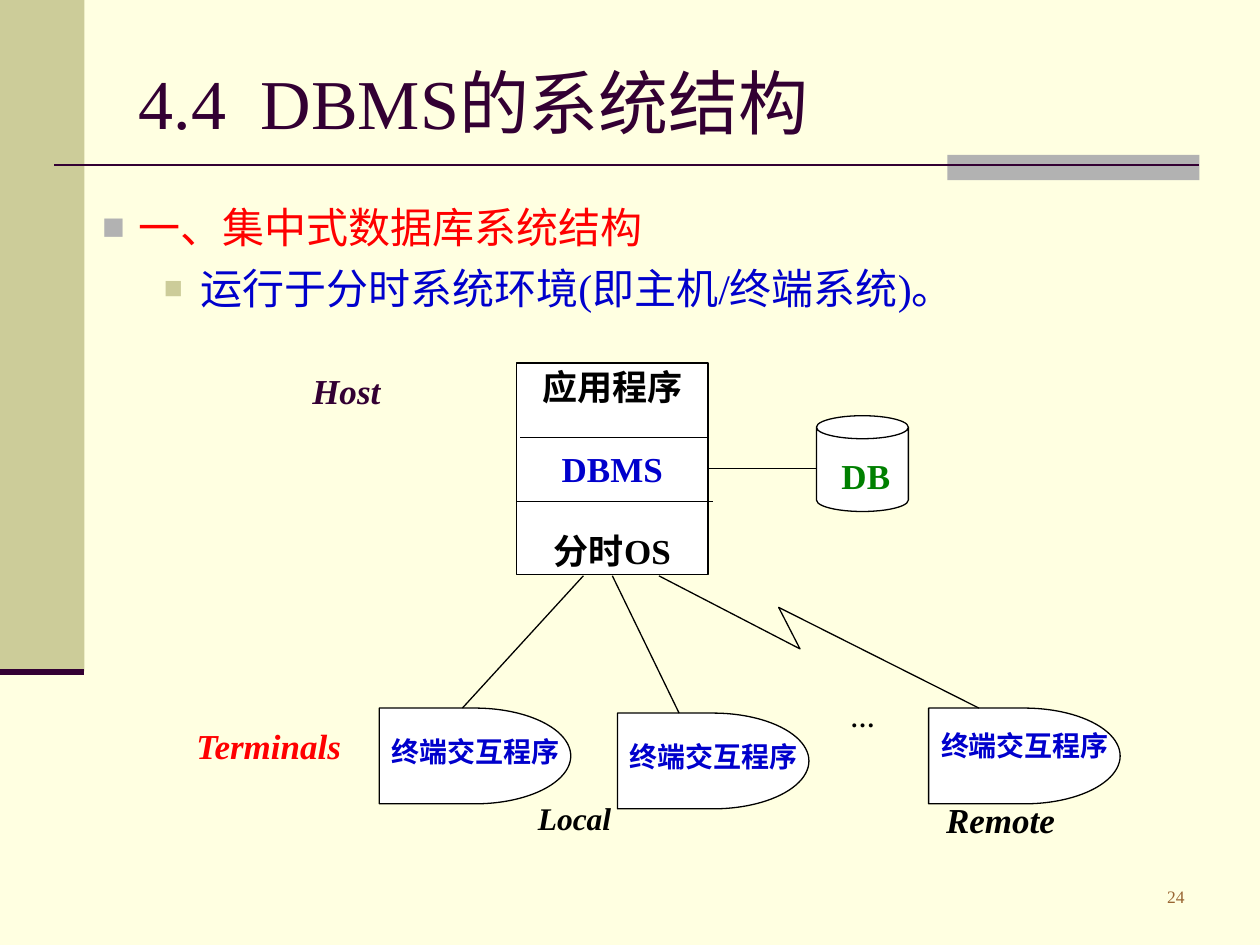
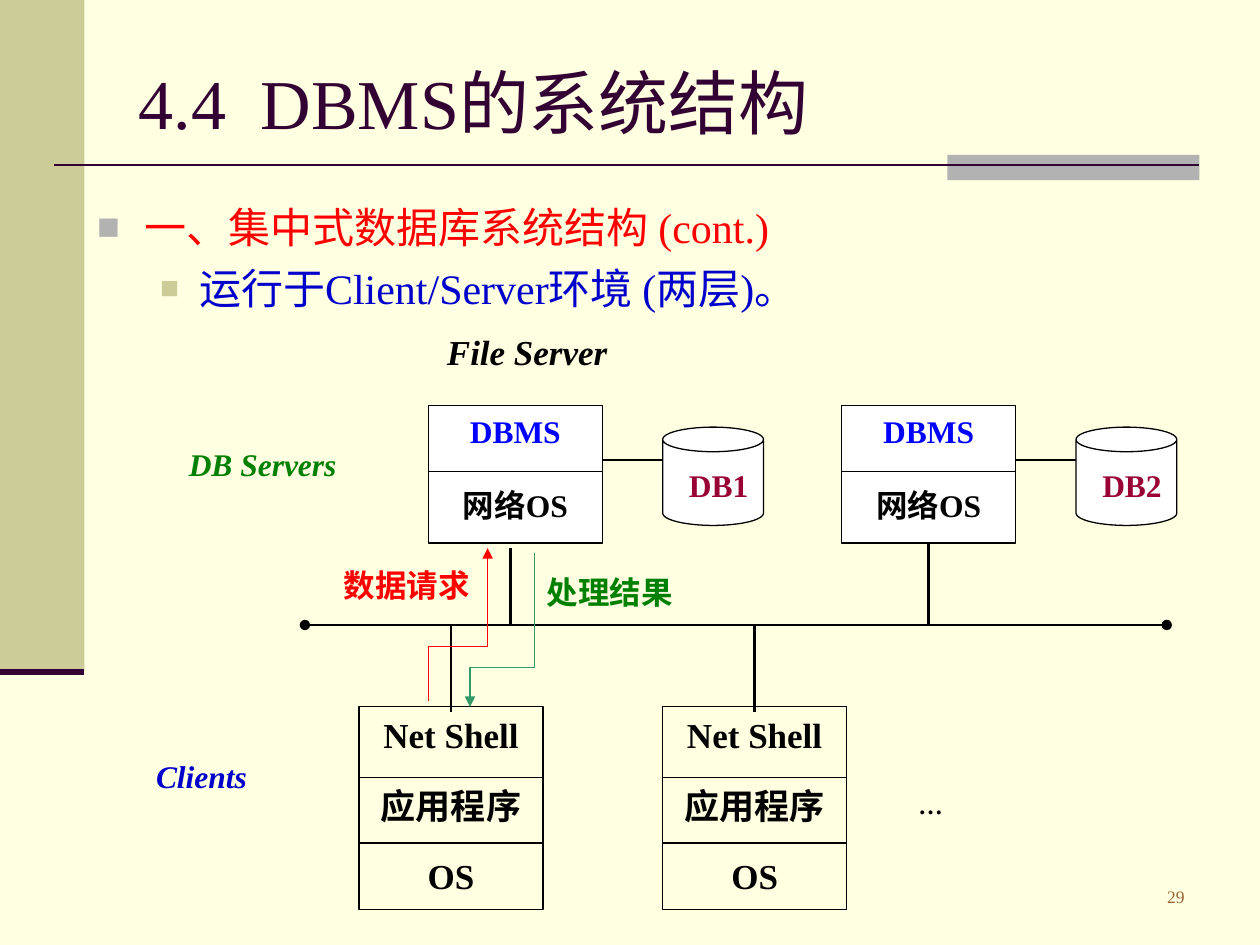
from lxml import etree
from pptx import Presentation
from pptx import util as u
from pptx.dml.color import RGBColor
from pptx.enum import shapes, text
from pptx.oxml.ns import qn

COLS, ROWS = 100, 75  # grid laid over the 10 x 7.5 inch slide
FONT = "Times New Roman"
COLOURS = {
    "paper": "FFFFE1", "olive": "CCCC99", "grey": "B2B2B2", "plum": "330033",
    "red": "FF0000", "navy": "0000CC", "blue": "0000FF", "green": "008000",
    "jade": "339966", "wine": "990033", "brown": "996633",
    "black": "000000", "white": "FFFFFF",
}
SHAPE = shapes.MSO_SHAPE
ALIGN = text.PP_ALIGN
ANCHOR = text.MSO_ANCHOR


def rgb(name):
    return RGBColor.from_string(COLOURS[name])


class Deck:
    """Holds the style and the slide being drawn; lengths are grid units."""

    def __init__(self):
        self.prs = Presentation()
        self.prs.slide_width, self.prs.slide_height = u.Inches(10), u.Inches(7.5)
        self.col = self.prs.slide_width / COLS
        self.row = self.prs.slide_height / ROWS
        background = self.prs.slide_master.background.fill
        background.solid()
        background.fore_color.rgb = rgb("paper")
        self.slide = None

    def place(self, *pairs):
        """Turn alternating columns and rows into slide lengths."""
        return [round(n * (self.row if i % 2 else self.col))
                for i, n in enumerate(pairs)]

    # Slide frame: bands, title, list and number
    def new_slide(self, title, topics, number, body, indents):
        self.slide = self.prs.slides.add_slide(self.prs.slide_layouts[1])
        self.shape(SHAPE.RECTANGLE, (0, 0, 6.7, 53.3), "olive", None)
        self.shape(SHAPE.RECTANGLE, (75.2, 12.3, 20, 2), "grey", None)
        self.line((4.3, 13.1), (95.2, 13.1), "plum", 1.5)
        self.line((0, 53.3), (6.7, 53.3), "plum", 3.5)
        self.title(title)
        self.topics(topics, body, indents)
        self.label(number, (82.3, 69.8, 12.7, 3.5), 10, "brown",
                   bold=False, align=ALIGN.RIGHT)

    def seat(self, holder, box, anchor):
        holder.left, holder.top, holder.width, holder.height = self.place(*box)
        frame = holder.text_frame
        frame.auto_size = text.MSO_AUTO_SIZE.NONE
        frame.vertical_anchor = anchor
        return frame

    def title(self, words):
        frame = self.seat(self.slide.shapes.title, (10, 3, 85, 10.1), ANCHOR.MIDDLE)
        frame.text = words
        heading = frame.paragraphs[0]
        stops = etree.SubElement(heading._p.get_or_add_pPr(), qn("a:tabLst"))
        etree.SubElement(stops, qn("a:tab"), pos=str(u.Inches(0.97)), algn="l")
        heading.alignment = ALIGN.LEFT
        self.style(heading, 40, "plum")

    def topics(self, words, box, indents):
        frame = self.seat(self.slide.placeholders[1], box, ANCHOR.TOP)
        frame.text = "\n".join(words)
        looks = [("red", "grey", 90, 0), ("navy", "olive", 75, 6)]
        for level, (topic, look) in enumerate(zip(frame.paragraphs, looks)):
            colour, bullet, percent, before = look
            margin, hanging = indents[level]
            topic.level = level
            props = topic._p.get_or_add_pPr()
            props.set("marL", str(u.Inches(margin)))
            props.set("indent", str(-u.Inches(hanging)))
            tint = etree.SubElement(props, qn("a:buClr"))
            etree.SubElement(tint, qn("a:srgbClr"), val=COLOURS[bullet])
            etree.SubElement(props, qn("a:buSzPct"), val=str(percent * 1000))
            etree.SubElement(props, qn("a:buFont"), typeface=FONT)
            etree.SubElement(props, qn("a:buChar"), char="■")
            topic.space_before = u.Pt(before)
            self.style(topic, 24, colour)

    # Text
    def style(self, paragraph, size, colour, bold=False, italic=False):
        for run in paragraph.runs:
            font = run.font
            font.name, font.size = FONT, u.Pt(size)
            font.bold, font.italic = bold, italic
            font.color.rgb = rgb(colour)

    def label(self, words, box, size, colour, bold=True, italic=False,
              align=ALIGN.LEFT, anchor=ANCHOR.TOP, pad=0.1):
        frame = self.slide.shapes.add_textbox(*self.place(*box)).text_frame
        frame.word_wrap = True
        frame.vertical_anchor = anchor
        frame.margin_left = frame.margin_right = u.Inches(pad)
        frame.text = words
        frame.paragraphs[0].alignment = align
        self.style(frame.paragraphs[0], size, colour, bold, italic)

    # Shapes
    def shape(self, kind, box, fill="white", edge="black"):
        item = self.slide.shapes.add_shape(kind, *self.place(*box))
        self.finish(item, fill, edge)
        return item

    def finish(self, item, fill, edge):
        item.shadow.inherit = False
        if fill:
            item.fill.solid()
            item.fill.fore_color.rgb = rgb(fill)
        else:
            item.fill.background()
        if edge:
            item.line.color.rgb = rgb(edge)
            item.line.width = u.Pt(0.75)
        else:
            item.line.fill.background()

    def stack(self, box, layers, size, gap, rules, fill="white",
              anchor=ANCHOR.MIDDLE, pads=(0.1, 0.05), spacing=1.0):
        """A box of software layers; rules are (row, left, right) dividers."""
        frame = self.shape(SHAPE.RECTANGLE, box, fill).text_frame
        frame.word_wrap = True
        frame.vertical_anchor = anchor
        frame.margin_left = frame.margin_right = u.Inches(pads[0])
        frame.margin_top = frame.margin_bottom = u.Inches(pads[1])
        frame.text = "\n".join(words for words, _ in layers)
        for i, (layer, (_, colour)) in enumerate(zip(frame.paragraphs, layers)):
            layer.alignment = ALIGN.CENTER
            layer.line_spacing = spacing
            layer.space_before = u.Pt(gap if i else 0)
            self.style(layer, size, colour, bold=True)
        for row, left, right in rules:
            self.line((left, row), (right, row))

    def database(self, name, box, size, colour, label_box):
        self.shape(SHAPE.CAN, box)
        self.label(name, label_box, size, colour)

    # Lines
    def ends(self, item, **kinds):
        for end, kind in kinds.items():
            etree.SubElement(item.element.spPr.find(qn("a:ln")),
                             qn(f"a:{end}End"), type=kind)

    def line(self, start, end, colour="black", width=0.75, **kinds):
        link = self.slide.shapes.add_connector(
            shapes.MSO_CONNECTOR.STRAIGHT, *self.place(*start, *end))
        link.line.color.rgb = rgb(colour)
        link.line.width = u.Pt(width)
        self.ends(link, **kinds)
        etree.SubElement(link.element.spPr, qn("a:effectLst"))

    def route(self, points, colour="black", **kinds):
        start, *others = [self.place(*point) for point in points]
        builder = self.slide.shapes.build_freeform(*start)
        builder.add_line_segments(others, close=False)
        bent = builder.convert_to_shape()
        self.finish(bent, None, colour)
        self.ends(bent, **kinds)


TITLE = "4.4\tDBMS的系统结构"


def host_and_terminals(deck):
    deck.new_slide(TITLE, ["一、集中式数据库系统结构",
                           "运行于分时系统环境(即主机/终端系统)。"], "24",
                   (7.1, 15.5, 92.9, 51.2), [(0.29, 0.29), (0.78, 0.29)])

    # Host and its database
    deck.stack((41, 28.8, 15.2, 16.8),
               [("应用程序", "black"), ("DBMS", "navy"), ("分时OS", "black")],
               20, 23, [(34.7, 41.3, 56.2), (39.8, 41, 56.6)], pads=(0.02, 0))
    deck.database("DB", (64.8, 33, 7.3, 7.6), 20, "green", (65.8, 35.6, 6.9, 4.2))
    deck.line((56.2, 37.2), (64.8, 37.2))

    # Terminals; the last label sits a little higher
    for left, top, lift in [(30.1, 56.2, 0), (49, 56.6, 0), (73.7, 56.2, 0.5)]:
        deck.shape(SHAPE.FLOWCHART_DELAY, (left, top, 15.2, 7.6))
        deck.label("终端交互程序", (left, top + 1.6 - lift, 15.5, 5.9), 16, "navy")
    deck.label("…", (66.5, 55.3, 8.6, 8.8), 14, "black")

    # Local lines and the remote link
    deck.line((46.3, 45.7), (36.7, 56.2))
    deck.line((48.6, 45.7), (53.9, 56.6))
    deck.route([(52.3, 45.7), (63.5, 51.5), (61.8, 48.2), (77.7, 56.2)])

    # Captions
    for words, left, top, size, colour in [
            ("Host", 23.8, 28.8, 20, "plum"), ("Terminals", 14.6, 57, 20, "red"),
            ("Remote", 74.1, 62.9, 20, "black"), ("Local", 41.7, 62.9, 18, "black")]:
        deck.label(words, (left, top, 14.2, 5.9), size, colour, italic=True)


def client_and_server(deck):
    deck.new_slide(TITLE, ["一、集中式数据库系统结构 (cont.)",
                           "运行于Client/Server环境 (两层)。"], "29",
                   (6.7, 15.5, 91.3, 51.2), [(0.38, 0.38), (0.81, 0.31)])
    bus = 49.6

    # Database servers
    for i, (drop, drop_top) in enumerate([(40.5, 43.5), (73.7, 43.1)]):
        left = 34 + 32.8 * i
        right = left + 13.8
        deck.stack((left, 32.2, 13.8, 10.9),
                   [("DBMS", "blue"), ("网络OS", "black")], 18, 21,
                   [(37.4, left, right)], anchor=ANCHOR.TOP)
        deck.database(f"DB{i + 1}", (left + 18.6, 33.9, 8, 7.8), 18, "wine",
                      (left + 19.7, 36.5, 7.6, 4.3))
        deck.line((right, 36.5), (left + 18.6, 36.5))
        deck.line((drop, drop_top), (drop, bus), width=1.5)

    # Clients
    for left in (28.5, 52.6):
        right = left + 14.6
        deck.stack((left, 56.1, 14.6, 16.1),
                   [(layer, "black") for layer in ("Net Shell", "应用程序", "OS")],
                   20, 20, [(row, left, right) for row in (61.7, 66.9)],
                   fill=None, spacing=0.85)
        deck.line((left + 7.3, bus), (left + 7.3, 56.5), width=1.5)
    deck.label("…", (71.9, 62.2, 9.5, 9.1), 14, "black")

    # Network, request and result
    deck.line((24.2, bus), (92.6, bus), width=1.5, head="oval", tail="oval")
    deck.route([(34, 55.6), (34, 51.3), (38.7, 51.3), (38.7, 43.5)],
               "red", tail="triangle")
    deck.route([(42.4, 43.9), (42.4, 53), (37.3, 53), (37.3, 56.1)],
               "jade", tail="triangle")
    deck.label("数据请求", (26.3, 44.4, 14.6, 5.2), 18, "red")
    deck.label("处理结果", (42.4, 43.9, 12, 6.1), 18, "green",
               anchor=ANCHOR.MIDDLE, pad=0.1)

    # Captions
    deck.label("File Server", (34, 25.7, 15.7, 6.1), 20, "black",
               italic=True, align=ALIGN.CENTER)
    deck.label("DB Servers", (14, 34.8, 15.7, 6.1), 18, "green", italic=True)
    deck.label("Clients", (11.4, 59.6, 19.3, 9.6), 18, "navy", italic=True)


def main():
    deck = Deck()
    host_and_terminals(deck)
    client_and_server(deck)
    deck.prs.save("out.pptx")


if __name__ == "__main__":
    main()
